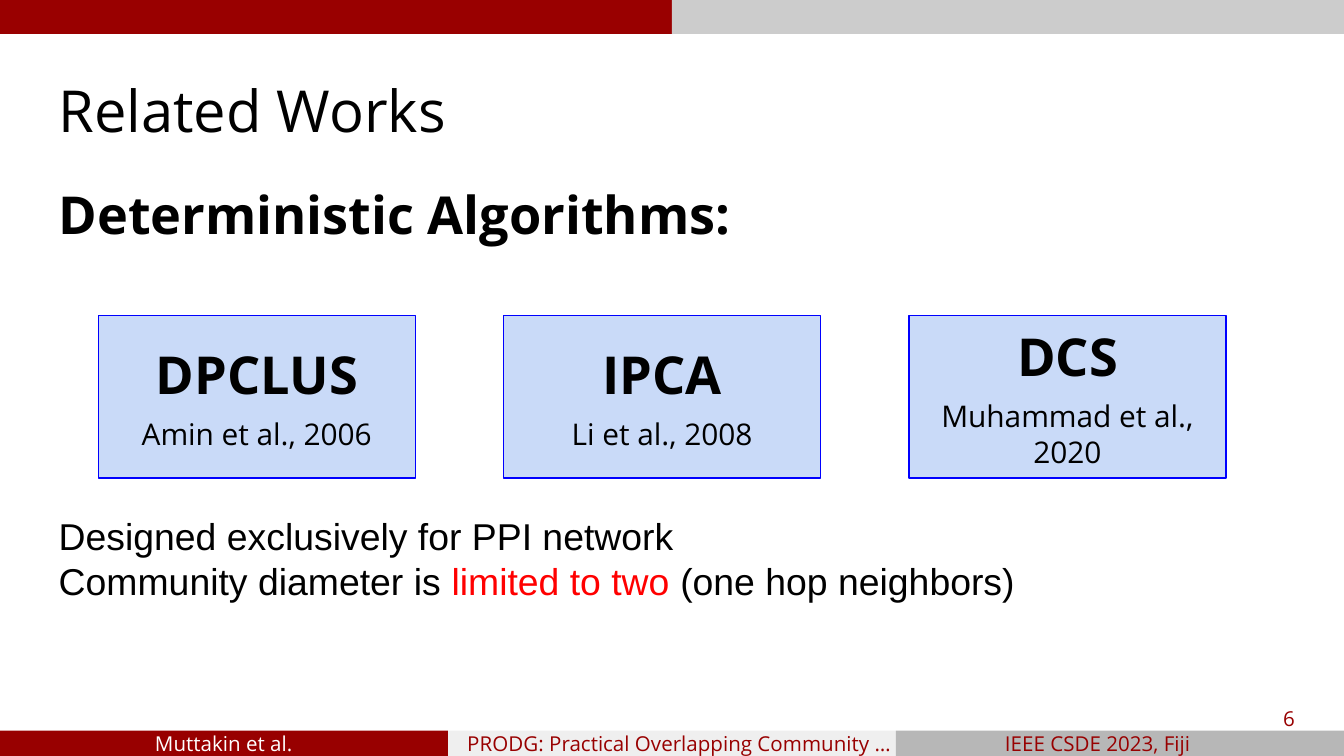
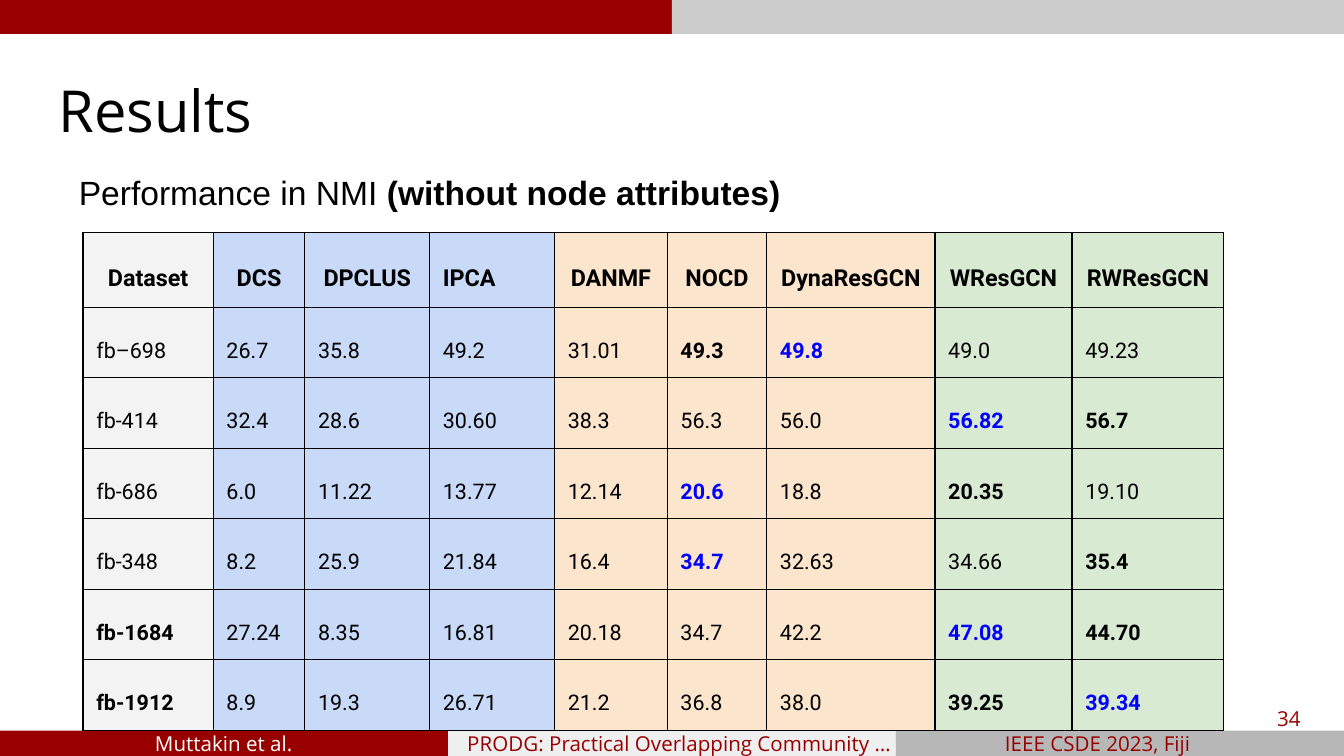
from lxml import etree
from pptx import Presentation
from pptx.dml.color import RGBColor
from pptx.enum.shapes import MSO_SHAPE
from pptx.enum.text import MSO_ANCHOR, PP_ALIGN
from pptx.oxml.ns import qn
from pptx.util import Cm, Pt

RECTANGLE = MSO_SHAPE.RECTANGLE
TOP, MIDDLE, BOTTOM = MSO_ANCHOR.TOP, MSO_ANCHOR.MIDDLE, MSO_ANCHOR.BOTTOM
LEFT, CENTER = PP_ALIGN.LEFT, PP_ALIGN.CENTER

BLACK = RGBColor(0x00, 0x00, 0x00)
WHITE = RGBColor(0xFF, 0xFF, 0xFF)
RED = RGBColor(0xFF, 0x00, 0x00)
BLUE = RGBColor(0x00, 0x00, 0xFF)
CRIMSON = RGBColor(0x99, 0x00, 0x00)
MAROON = RGBColor(0x98, 0x00, 0x00)
SILVER = RGBColor(0xCC, 0xCC, 0xCC)
MIST = RGBColor(0xEF, 0xEF, 0xEF)
GRAY = RGBColor(0xB7, 0xB7, 0xB7)
PALE_GRAY = RGBColor(0xF3, 0xF3, 0xF3)
PALE_BLUE = RGBColor(0xC9, 0xDA, 0xF8)
PALE_ORANGE = RGBColor(0xFC, 0xE5, 0xCD)
PALE_GREEN = RGBColor(0xD9, 0xEA, 0xD3)

SANS, BODY, TABLE = "Open Sans", "Arial", "Roboto"
WIDTH, HEIGHT = 25.4, 14.29
FOOTER_HEIGHT = 0.48
FOOTER_TOP = HEIGHT - FOOTER_HEIGHT
INSET = Cm(0.25)

FOOTERS = [
    ("Muttakin et al.", MAROON, WHITE, 0, 8.46),
    ("PRODG: Practical Overlapping Community …", MIST, MAROON, 8.33, 9.02),
    ("IEEE CSDE 2023, Fiji", GRAY, MAROON, 17.15, 7.19),
]
ALGORITHMS = [
    ("DPCLUS", "Amin et al., 2006"),
    ("IPCA", "Li et al., 2008"),
    ("DCS", "Muhammad et al., 2020"),
]
COLUMN_WIDTHS = [2.46, 1.73, 2.36, 2.36, 2.13, 1.88, 3.18, 2.59, 2.87]
COLUMN_FILLS = [PALE_GRAY] + [PALE_BLUE] * 3 + [PALE_ORANGE] * 3 + [PALE_GREEN] * 2
ROW_HEIGHTS = [1.12] + [1.07] * 4 + [1.12] * 2
SECOND_MARK, BEST_MARK = "*", "**"
HEADER = ["Dataset", "DCS", "DPCLUS", "IPCA", "DANMF", "NOCD", "DynaResGCN", "WResGCN", "RWResGCN"]
SCORES = [
    ["fb–698", "26.7", "35.8", "49.2", "31.01", "49.3*", "49.8**", "49.0", "49.23"],
    ["fb-414", "32.4", "28.6", "30.60", "38.3", "56.3", "56.0", "56.82**", "56.7*"],
    ["fb-686", "6.0", "11.22", "13.77", "12.14", "20.6**", "18.8", "20.35*", "19.10"],
    ["fb-348", "8.2", "25.9", "21.84", "16.4", "34.7**", "32.63", "34.66", "35.4*"],
    ["fb-1684*", "27.24", "8.35", "16.81", "20.18", "34.7", "42.2", "47.08**", "44.70*"],
    ["fb-1912*", "8.9", "19.3", "26.71", "21.2", "36.8", "38.0", "39.25*", "39.34**"],
]


class Deck:
    """Holds the shared style and the current slide."""

    def __init__(self):
        self.presentation = Presentation()
        self.presentation.slide_width = Cm(WIDTH)
        self.presentation.slide_height = Cm(HEIGHT)
        self.slide = None

    def add_slide(self, title, number):
        """Start a slide with its bands, footers, title and number."""
        self.slide = self.presentation.slides.add_slide(self.presentation.slide_layouts[6])
        half, third = WIDTH / 2, WIDTH / 3
        self.rectangle(0, 0, half, 0.64, CRIMSON)
        self.rectangle(half, 0, half, 0.64, SILVER)
        for index, (text, fill, color, left, width) in enumerate(FOOTERS):
            self.rectangle(index * third, FOOTER_TOP, third, FOOTER_HEIGHT, fill)
            frame = self.text_box(left, FOOTER_TOP, width, FOOTER_HEIGHT, MIDDLE)
            self.set_text(frame.paragraphs[0], text, 11, SANS, color, alignment=CENTER)
        frame = self.text_box(0.86, 1.24, 23.67, 1.73, BOTTOM)
        self.set_text(frame.paragraphs[0], title, 31)
        frame = self.text_box(23.6, 13.03, 1.52, 1.09, MIDDLE)
        self.set_text(frame.paragraphs[0], number, 11, SANS, MAROON, alignment=CENTER)

    def rectangle(self, left, top, width, height, fill, line=None):
        """Add a filled rectangle, outlined if a line colour is given."""
        shape = self.slide.shapes.add_shape(RECTANGLE, Cm(left), Cm(top), Cm(width), Cm(height))
        shape.shadow.inherit = False
        shape.fill.solid()
        shape.fill.fore_color.rgb = fill
        if line is None:
            shape.line.fill.background()
        else:
            shape.line.color.rgb = line
            shape.line.width = Pt(0.75)
        return self.prepare(shape.text_frame, MIDDLE)

    def text_box(self, left, top, width, height, anchor=TOP):
        """Add a text box and return its frame."""
        shape = self.slide.shapes.add_textbox(Cm(left), Cm(top), Cm(width), Cm(height))
        return self.prepare(shape.text_frame, anchor)

    def prepare(self, frame, anchor):
        """Set wrapping, anchor and insets of a text frame."""
        frame.word_wrap = True
        frame.vertical_anchor = anchor
        frame.margin_left = frame.margin_right = INSET
        frame.margin_top = frame.margin_bottom = INSET
        return frame

    def set_text(self, paragraph, text, size, font=SANS, color=BLACK, bold=False, alignment=LEFT, before=0):
        """Fill a paragraph with text in one style."""
        paragraph.alignment = alignment
        paragraph.space_before = Pt(before)
        paragraph.font.name = font
        paragraph.font.size = Pt(size)
        paragraph.font.bold = bold
        paragraph.font.color.rgb = color
        paragraph.add_run().text = text

    def card(self, left, name, citation):
        """Add an outlined card with an algorithm and its citation."""
        frame = self.rectangle(left, 5.97, 5.99, 3.07, PALE_BLUE, BLUE)
        self.set_text(frame.paragraphs[0], name, 28, bold=True, alignment=CENTER, before=6)
        self.set_text(frame.add_paragraph(), citation, 16, alignment=CENTER, before=6)

    def table(self, left, top, rows):
        """Add the score table with grouped column colours."""
        table = self.slide.shapes.add_table(
            len(rows), len(COLUMN_WIDTHS), Cm(left), Cm(top),
            Cm(sum(COLUMN_WIDTHS)), Cm(sum(ROW_HEIGHTS))).table
        for column, width in zip(table.columns, COLUMN_WIDTHS):
            column.width = Cm(width)
        for row_index, values in enumerate(rows):
            table.rows[row_index].height = Cm(ROW_HEIGHTS[row_index])
            for column_index, value in enumerate(values):
                cell = table.cell(row_index, column_index)
                self.style_cell(cell, COLUMN_FILLS[column_index])
                paragraph = cell.text_frame.paragraphs[0]
                text = value.rstrip(SECOND_MARK)
                if row_index == 0:
                    alignment = LEFT if text == "IPCA" else CENTER
                    self.set_text(paragraph, text, 12.5, TABLE, bold=True, alignment=alignment)
                else:
                    color = BLUE if value.endswith(BEST_MARK) else BLACK
                    self.set_text(paragraph, text, 11.5, TABLE, color, bold=text != value)
                paragraph.line_spacing = 1.71

    def style_cell(self, cell, fill):
        """Set the insets, borders and fill of a cell."""
        cell.margin_left = cell.margin_right = INSET
        cell.margin_top = cell.margin_bottom = INSET
        cell.fill.solid()
        cell.fill.fore_color.rgb = fill
        properties = cell._tc.get_or_add_tcPr()
        for index, side in enumerate(("a:lnL", "a:lnR", "a:lnT", "a:lnB")):
            line = etree.Element(qn(side), w=str(Pt(0.75)))
            solid = etree.SubElement(line, qn("a:solidFill"))
            etree.SubElement(solid, qn("a:srgbClr"), val=str(BLACK))
            properties.insert(index, line)


def add_related_works(deck):
    """Build the slide on deterministic algorithms."""
    deck.add_slide("Related Works", "6")
    frame = deck.text_box(0.86, 3.2, 23.67, 3.23)
    deck.set_text(frame.paragraphs[0], "Deterministic Algorithms:", 28, bold=True, before=6)
    frame = deck.text_box(0.86, 9.45, 20.22, 3.51)
    deck.set_text(frame.paragraphs[0], "Designed exclusively for PPI network", 20, BODY)
    paragraph = frame.add_paragraph()
    deck.set_text(paragraph, "Community diameter is ", 20, BODY)
    limit = paragraph.add_run()
    limit.text = "limited to two "
    limit.font.color.rgb = RED
    paragraph.add_run().text = "(one hop neighbors)"
    for index, (name, citation) in enumerate(ALGORITHMS):
        deck.card(1.86 + index * 7.66, name, citation)


def add_results(deck):
    """Build the slide with the score table."""
    deck.add_slide("Results", "34")
    frame = deck.text_box(1.24, 3, 22.2, 1.22)
    paragraph = frame.paragraphs[0]
    deck.set_text(paragraph, "Performance in NMI ", 18, BODY)
    condition = paragraph.add_run()
    condition.text = "(without node attributes)"
    condition.font.bold = True
    deck.table(1.57, 4.4, [HEADER] + SCORES)


def main():
    """Build and save the presentation."""
    deck = Deck()
    add_related_works(deck)
    add_results(deck)
    deck.presentation.save("out.pptx")


if __name__ == "__main__":
    main()
